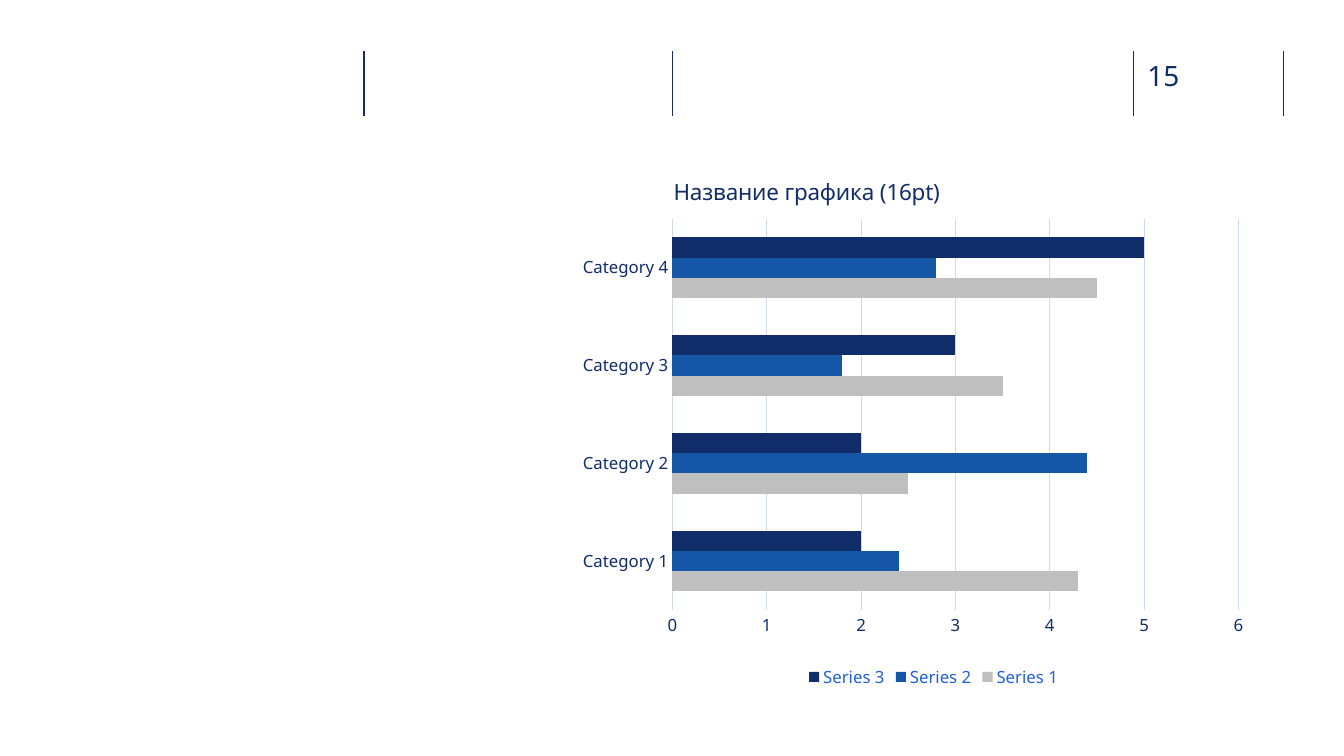
from pptx import Presentation
from pptx.chart.data import CategoryChartData
from pptx.dml.color import RGBColor
from pptx.enum.chart import XL_CHART_TYPE, XL_LEGEND_POSITION, XL_TICK_MARK
from pptx.enum.shapes import MSO_CONNECTOR
from pptx.oxml import parse_xml
from pptx.oxml.ns import qn
from pptx.util import Inches, Pt
from lxml import etree

# Content
PAGE_NUMBER = "15"
CHART_TITLE = "Название графика (16pt)"
CATEGORIES = ["Category 1", "Category 2", "Category 3", "Category 4"]
SERIES = [
    ("Series 1", (4.3, 2.5, 3.5, 4.5), RGBColor(0xBF, 0xBF, 0xBF)),
    ("Series 2", (2.4, 4.4, 1.8, 2.8), RGBColor(0x16, 0x56, 0xA6)),
    ("Series 3", (2, 2, 3, 5), RGBColor(0x10, 0x2D, 0x69)),
]

# Style
FONT = "Noto Sans"
NAVY = RGBColor(0x10, 0x2D, 0x69)
LEGEND_BLUE = RGBColor(0x21, 0x5F, 0xDF)
GRID_BLUE = RGBColor(0xCC, 0xDA, 0xF8)

# Geometry in inches
DIVIDER_XS = (3.61, 6.67, 11.24, 12.73)
DIVIDER_TOP, DIVIDER_BOTTOM = 0.51, 1.15
PAGE_NUMBER_BOX = (11.38, 0.58, 0.73, 0.34)
CHART_BOX = (5.72, 1.59, 7.08, 5.28)

# Layout as fractions of the chart
TITLE_LAYOUT = {"x": 0.13, "y": 0.02}
PLOT_LAYOUT = {"x": 0.134, "y": 0.11, "w": 0.793, "h": 0.735}


def style_font(font, size, color=NAVY):
    font.name = FONT
    font.size = Pt(size)
    font.bold = False
    font.color.rgb = color


def write_text(frame, text, size, color=NAVY):
    run = frame.paragraphs[0].add_run()
    run.text = text
    style_font(run.font, size, color)


def style_line(line, color, width):
    line.color.rgb = color
    line.width = Pt(width)


def set_layout(parent, position, fractions, inner=False):
    """Fix the place of a chart part by fractions of the chart area."""
    for old in parent.findall(qn("c:layout")):
        parent.remove(old)
    layout = parse_xml(
        '<c:layout xmlns:c="http://schemas.openxmlformats.org/drawingml/2006/chart">'
        "<c:manualLayout/></c:layout>"
    )
    settings = [("layoutTarget", "inner")] if inner else []
    settings += [("xMode", "edge"), ("yMode", "edge")]
    settings += [(key, str(value)) for key, value in fractions.items()]
    for tag, value in settings:
        etree.SubElement(layout[0], qn(f"c:{tag}")).set("val", value)
    parent.insert(position, layout)


presentation = Presentation()
presentation.slide_width = Inches(13.33)
presentation.slide_height = Inches(7.5)
slide = presentation.slides.add_slide(presentation.slide_layouts[6])

# Header dividers
for x in DIVIDER_XS:
    divider = slide.shapes.add_connector(
        MSO_CONNECTOR.STRAIGHT,
        Inches(x), Inches(DIVIDER_TOP), Inches(x), Inches(DIVIDER_BOTTOM),
    )
    style_line(divider.line, NAVY, 1)
    etree.SubElement(divider._element.spPr, qn("a:effectLst"))

# Page number
page_number = slide.shapes.add_textbox(*map(Inches, PAGE_NUMBER_BOX)).text_frame
page_number.word_wrap = True
page_number.margin_left = page_number.margin_right = 0
page_number.margin_top = page_number.margin_bottom = 0
write_text(page_number, PAGE_NUMBER, size=20)

# Bar chart
chart_data = CategoryChartData()
chart_data.categories = CATEGORIES
for name, values, _ in SERIES:
    chart_data.add_series(name, values)
chart = slide.shapes.add_chart(
    XL_CHART_TYPE.BAR_CLUSTERED, *map(Inches, CHART_BOX), chart_data
).chart
style_font(chart.font, 10)

bars = chart.plots[0]
bars.gap_width = 182
bars.vary_by_categories = False
for series, (_, _, color) in zip(bars.series, SERIES):
    series.format.fill.solid()
    series.format.fill.fore_color.rgb = color
set_layout(chart._chartSpace.chart.plotArea, 0, PLOT_LAYOUT, inner=True)

# Chart title
chart.has_title = True
write_text(chart.chart_title.text_frame, CHART_TITLE, size=16)
chart.chart_title.include_in_layout = False
set_layout(chart.chart_title._element, 1, TITLE_LAYOUT)

# Axes
category_axis, value_axis = chart.category_axis, chart.value_axis
for axis in (category_axis, value_axis):
    axis.major_tick_mark = axis.minor_tick_mark = XL_TICK_MARK.NONE
    style_font(axis.tick_labels.font, 12)
style_line(category_axis.format.line, GRID_BLUE, 0.75)
value_axis.format.line.fill.background()
value_axis.minimum_scale, value_axis.maximum_scale = 0, 6
value_axis.major_unit = 1
value_axis.has_major_gridlines = True
style_line(value_axis.major_gridlines.format.line, GRID_BLUE, 0.75)

# Legend
chart.has_legend = True
chart.legend.position = XL_LEGEND_POSITION.BOTTOM
chart.legend.include_in_layout = False
style_font(chart.legend.font, 12, LEGEND_BLUE)

presentation.save("out.pptx")
